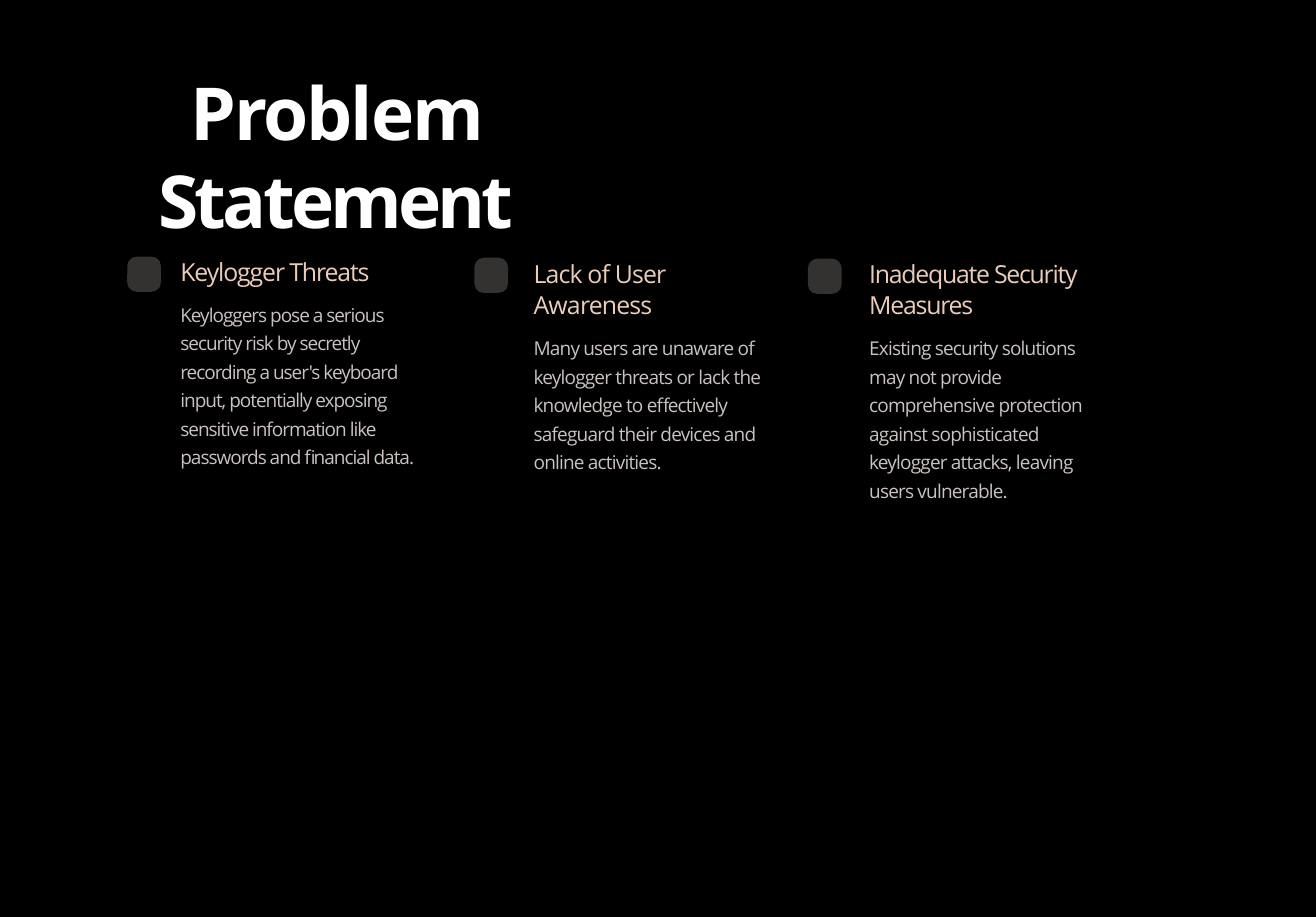
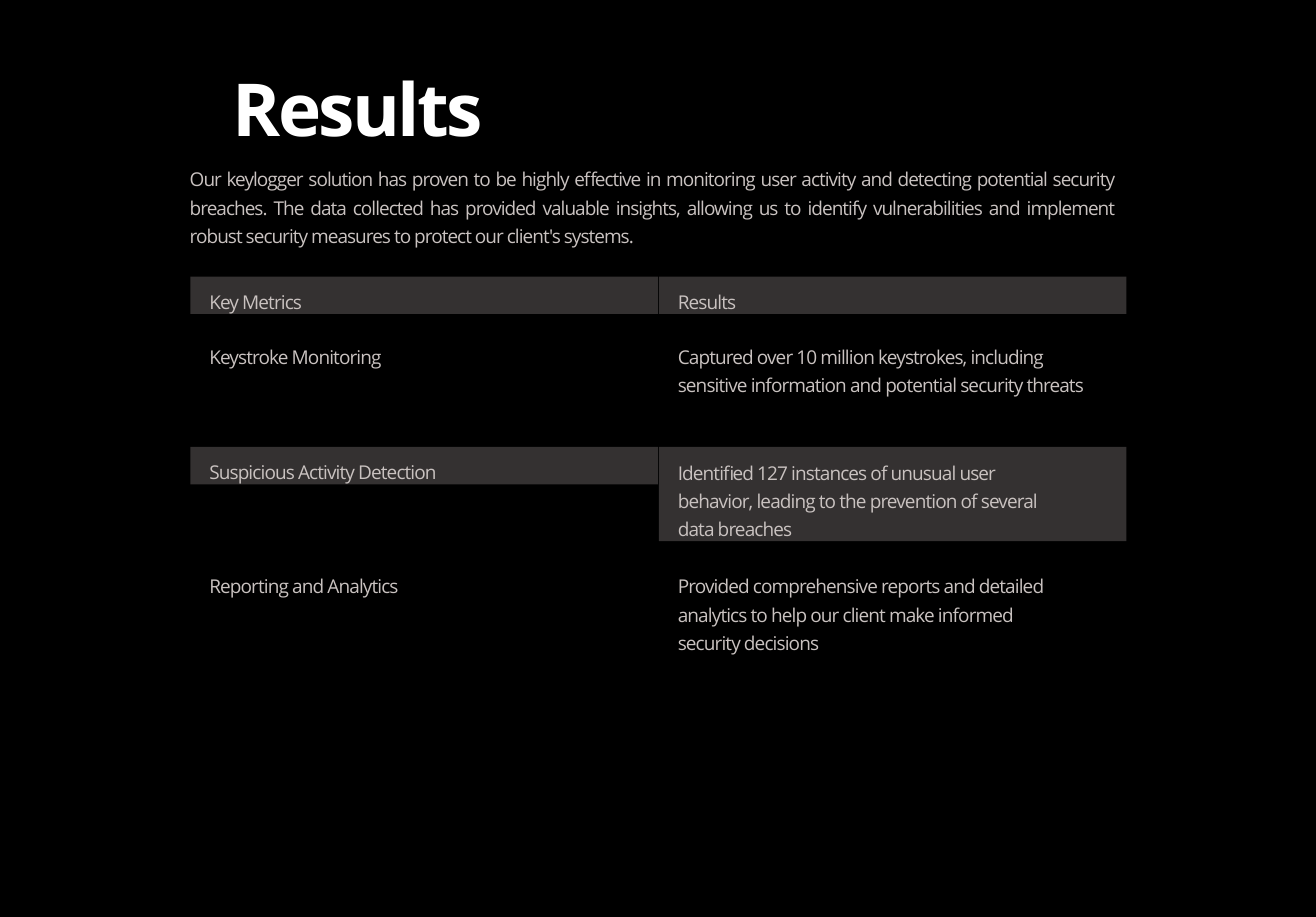
from pptx import Presentation, util as u
from pptx.dml.color import RGBColor
from pptx.enum import shapes, text

WIDTH, HEIGHT = 12.51, 8.72
FONT = "Open Sans"
BLACK, WHITE, PANEL, PEACH, GREY = "000000", "FFFFFF", "343131", "EBCCBB", "C9C2C0"
BODY_PITCH, HEAD_PITCH = u.Pt(19.5), u.Pt(21.6)
LEFT, JUSTIFY, CENTER = text.PP_ALIGN.LEFT, text.PP_ALIGN.JUSTIFY, text.PP_ALIGN.CENTER

THREATS = [
    ((9.67, 27.98), (13.71, 18.5), 1.0, ("Keylogger Threats", -0.78),
     ("Keyloggers pose a serious security risk by secretly recording a user's keyboard "
      "input, potentially exposing sensitive information like passwords and financial data.",
      -0.69)),
    ((36.05, 28.1), (40.55, 18.55), HEAD_PITCH, ("Lack of User Awareness", -0.6),
     ("Many users are unaware of keylogger threats or lack the knowledge to effectively "
      "safeguard their devices and online activities.", -0.55)),
    ((61.39, 28.21), (66.05, 17.49), HEAD_PITCH, ("Inadequate Security Measures", -0.87),
     ("Existing security solutions may not provide comprehensive protection against "
      "sophisticated keylogger attacks, leaving users vulnerable.", -0.55)),
]
INTRO = ("Our keylogger solution has proven to be highly effective in monitoring user activity "
         "and detecting potential security breaches. The data collected has provided valuable "
         "insights, allowing us to identify vulnerabilities and implement robust security "
         "measures to protect our client's systems.")
METRIC_COLUMNS = (14.47, 50.07)
METRICS = [
    (30.16, PANEL, 0, ("Key Metrics", 1), ("Results", 1)),
    (36.12, None, 0.3, ("Keystroke Monitoring", 1),
     ("Captured over 10 million keystrokes, including sensitive information and potential "
      "security threats", 2)),
    (48.74, PANEL, 0.6, ("Suspicious Activity Detection", 1),
     ("Identified 127 instances of unusual user behavior, leading to the prevention of "
      "several data breaches", 3)),
    (61.17, None, 0.6, ("Reporting and Analytics", 1),
     ("Provided comprehensive reports and detailed analytics to help our client make "
      "informed security decisions", 3)),
]


def rgb(value):
    """Turn a hex string into a colour."""
    return RGBColor.from_string(value)


def area(left, top, width, height):
    """Turn percentages of the slide into a position and size."""
    return [u.Inches(share * side / 100)
            for share, side in zip((left, top, width, height), (WIDTH, HEIGHT) * 2)]


def add_slide(prs):
    """Add a blank slide on black."""
    s = prs.slides.add_slide(prs.slide_layouts[6])
    s.background.fill.solid()
    s.background.fill.fore_color.rgb = rgb(BLACK)
    return s


def style_run(r, size, color, spacing, bold=False):
    """Set the font, colour and letter spacing of a run."""
    r.font.name, r.font.size, r.font.bold = FONT, u.Pt(size), bold
    r.font.color.rgb = rgb(color)
    r._r.get_or_add_rPr().set("spc", str(round(spacing * 100)))


def set_frame(sp, anchor=text.MSO_ANCHOR.TOP, top=0, left=0, right=0):
    """Wrap the text of a shape inside the given margins in inches."""
    tf = sp.text_frame
    tf.word_wrap, tf.vertical_anchor = True, anchor
    tf.margin_left, tf.margin_right = u.Inches(left), u.Inches(right)
    tf.margin_top, tf.margin_bottom = u.Inches(top), 0
    return tf


def set_body(p, content, spacing=-0.6, align=LEFT):
    """Write a paragraph in the body style."""
    p.text = content
    p.alignment, p.line_spacing = align, BODY_PITCH
    style_run(p.runs[0], 13, GREY, spacing)


def add_title(s, box, words):
    """Add a centred title from words with their own letter spacing."""
    tf = set_frame(s.shapes.add_textbox(*area(*box)), text.MSO_ANCHOR.MIDDLE, 0.02)
    p = tf.paragraphs[0]
    p.alignment, p.line_spacing = CENTER, 1.0
    for word, spacing in words:
        r = p.add_run()
        r.text = word
        style_run(r, 50, WHITE, spacing, True)


def add_panel(s, kind, box, fill):
    """Add a shape without outline, filled when a colour is given."""
    sp = s.shapes.add_shape(kind, *area(*box))
    sp.shadow.inherit = False
    sp.line.fill.background()
    if fill:
        sp.fill.solid()
        sp.fill.fore_color.rgb = rgb(fill)
    else:
        sp.fill.background()
    return sp


def add_threat(s, marker, column, pitch, heading, body):
    """Add a marker with a heading and its explanation."""
    sp = add_panel(s, shapes.MSO_SHAPE.ROUNDED_RECTANGLE, (*marker, 2.56, 3.84), PANEL)
    sp.adjustments[0] = 0.28
    left, width = column
    tf = set_frame(s.shapes.add_textbox(*area(left, 27.87, width, 27)), top=0.01)
    p = tf.paragraphs[0]
    p.text, spacing = heading
    p.line_spacing = pitch
    style_run(p.runs[0], 17, PEACH, spacing)
    p = tf.add_paragraph()
    set_body(p, *body)
    p.space_before = u.Pt(7.7)


def add_metric(s, left, top, fill, right, content, lines):
    """Add a metric cell as tall as its lines of text."""
    box = (left, top, 35.53, 0.98 + 3.1 * lines)
    sp = add_panel(s, shapes.MSO_SHAPE.RECTANGLE, box, fill)
    set_body(set_frame(sp, top=0.08, left=0.18, right=right).paragraphs[0], content)


def build_problem(prs):
    """Build the problem statement slide."""
    s = add_slide(prs)
    add_title(s, (9.43, 7.1, 32.21, 19.5), [("Problem ", -1.5), ("Statement", -2.6)])
    for threat in THREATS:
        add_threat(s, *threat)


def build_results(prs):
    """Build the results slide."""
    s = add_slide(prs)
    add_title(s, (14.31, 6.7, 25.74, 9.86), [("Results", -1.8)])
    tf = set_frame(s.shapes.add_textbox(*area(14.42, 17.43, 70.2, 9.52)), top=0.02)
    set_body(tf.paragraphs[0], INTRO, -0.65, JUSTIFY)
    for top, fill, right, *cells in METRICS:
        for left, pad, (content, lines) in zip(METRIC_COLUMNS, (0, right), cells):
            add_metric(s, left, top, fill, pad, content, lines)


def main():
    """Build and save the presentation."""
    prs = Presentation()
    prs.slide_width, prs.slide_height = u.Inches(WIDTH), u.Inches(HEIGHT)
    build_problem(prs)
    build_results(prs)
    prs.save("out.pptx")


if __name__ == "__main__":
    main()
